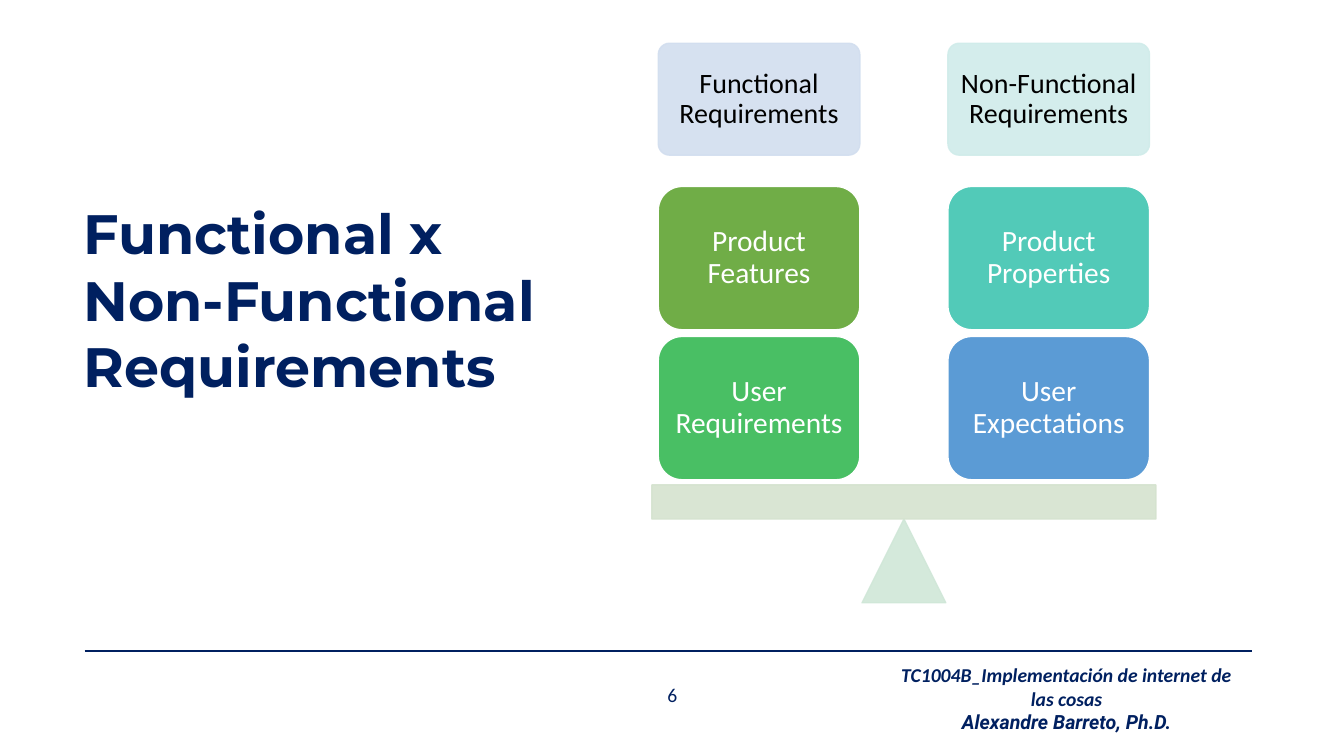
import pptx
import pptx.dml.color
import pptx.enum.shapes
import pptx.enum.text
import pptx.oxml
import pptx.oxml.ns
import pptx.util
from pptx.util import Cm, Pt

SHAPE = pptx.enum.shapes.MSO_SHAPE
ANCHOR = pptx.enum.text.MSO_ANCHOR
ALIGN = pptx.enum.text.PP_ALIGN
NAVY = "002060"
WHITE = "FFFFFF"
BLACK = "000000"


def colour(code):
    return pptx.dml.color.RGBColor.from_string(code)


def xml_element(tag, **attributes):
    element = pptx.oxml.parse_xml(f"<{tag} {pptx.oxml.ns.nsdecls('a')}/>")
    for name, value in attributes.items():
        element.set(name, value)
    return element


def style_paragraph(para, font_name, size, code, align=ALIGN.CENTER, bold=False, italic=False):
    para.alignment = align
    font = para.font
    font.name, font.size = font_name, Pt(size)
    font.bold, font.italic = bold, italic
    font.color.rgb = colour(code)


def add_part(slide, kind, box, fill, line, opacity=100):
    """Add a filled preset shape; opacity in percent applies to fill and line."""
    part = slide.shapes.add_shape(kind, *map(Cm, box))
    part.shadow.inherit = False
    part.fill.solid()
    part.fill.fore_color.rgb = colour(fill)
    part.line.color.rgb = colour(line)
    part.line.width = Pt(1)
    if opacity < 100:
        for code in part._element.spPr.iter(pptx.oxml.ns.qn("a:srgbClr")):
            code.append(xml_element("a:alpha", val=str(opacity * 1000)))
    return part


def label_part(part, text, size, code, inset):
    frame = part.text_frame
    frame.word_wrap = True
    frame.vertical_anchor = ANCHOR.MIDDLE
    frame.margin_left = frame.margin_right = Cm(inset)
    frame.margin_top = frame.margin_bottom = Cm(inset)
    para = frame.paragraphs[0]
    para.text = text
    para.line_spacing = 0.9
    style_paragraph(para, "Calibri", size, code)


def add_title(slide, box):
    title = slide.shapes.title
    title.left, title.top, title.width, title.height = map(Cm, box)
    frame = title.text_frame
    frame.text = "Functional x Non-Functional Requirements"
    frame.word_wrap = True
    frame.auto_size = pptx.enum.text.MSO_AUTO_SIZE.NONE
    frame.vertical_anchor = ANCHOR.MIDDLE
    style_paragraph(frame.paragraphs[0], "Montserrat", 39.6, NAVY, ALIGN.LEFT, bold=True)


def add_balance(slide, box):
    """Draw two stacks of blocks under their headings on a beam and pivot."""
    left, top, width, height = box
    card_width, head_height, block_height, block_step = 5.08, 2.82, 3.61, 3.78
    side_gap, blocks_top, beam_height, pivot_size = 0.16, 3.61, 0.86, 2.11
    stacks = [
        ("Functional Requirements", "D2DEEF",
         [("Product Features", "70AD47"), ("User Requirements", "49BF64")]),
        ("Non-Functional Requirements", "D0ECEA",
         [("Product Properties", "52CAB8"), ("User Expectations", "5B9BD5")]),
    ]
    pivot_top = top + height - pivot_size
    add_part(slide, SHAPE.ISOSCELES_TRIANGLE,
             (left + (width - pivot_size) / 2, pivot_top, pivot_size, pivot_size),
             "D0E7D8", "D0E7D8", 90)
    add_part(slide, SHAPE.RECTANGLE, (left, pivot_top - beam_height, width, beam_height),
             "D5E3CF", "D5E3CF", 90)

    column_step = width - 2 * side_gap - card_width
    for column, (heading, tint, blocks) in enumerate(stacks):
        card_left = left + side_gap + column * column_step
        head = add_part(slide, SHAPE.ROUNDED_RECTANGLE,
                        (card_left, top, card_width, head_height), tint, tint, 90)
        head.adjustments[0] = 0.1
        label_part(head, heading, 20, BLACK, 0.2)
        for row, (text, fill) in enumerate(blocks):
            block_top = top + blocks_top + row * block_step
            block = add_part(slide, SHAPE.ROUNDED_RECTANGLE,
                             (card_left, block_top, card_width, block_height), fill, WHITE)
            label_part(block, text, 21, WHITE, 0.23)


def add_footer(slide, box):
    left, top, width, height = box
    rule = slide.shapes.add_connector(pptx.enum.shapes.MSO_CONNECTOR.STRAIGHT,
                                      Cm(left), Cm(top), Cm(left + width), Cm(top))
    rule.line.color.rgb = colour(NAVY)
    rule.line.width = Pt(1.5)
    rule._element.spPr.append(xml_element("a:effectLst"))

    number = slide.shapes.add_textbox(Cm(left + 12.63), Cm(top + 0.84), Cm(4.37), Cm(0.51))
    number.text_frame.word_wrap = True
    number.text_frame.vertical_anchor = ANCHOR.MIDDLE
    number.text_frame.text = "6"
    style_paragraph(number.text_frame.paragraphs[0], "Calibri", 14, NAVY)

    credit_width, credit_drop = 9.32, 0.18
    credit = slide.shapes.add_textbox(Cm(left + width - credit_width), Cm(top + credit_drop),
                                      Cm(credit_width), Cm(height - credit_drop))
    frame = credit.text_frame
    frame.word_wrap = True
    frame.text = "TC1004B_Implementación de internet de las cosas\nAlexandre Barreto, Ph.D."
    for para, font_name in zip(frame.paragraphs, ("Calibri", "Roboto")):
        style_paragraph(para, font_name, 14, NAVY, bold=True, italic=True)


def main():
    deck = pptx.Presentation()
    deck.slide_width, deck.slide_height = Cm(33.87), Cm(19.05)
    slide = deck.slides.add_slide(deck.slide_layouts.get_by_name("Title Only"))
    slide.background.fill.solid()
    slide.background.fill.fore_color.rgb = colour(WHITE)
    add_title(slide, (1.85, 4.14, 13.08, 6.78))
    add_balance(slide, (16.43, 1.09, 12.7, 14.1))
    add_footer(slide, (2.13, 16.41, 29.41, 2.24))
    deck.save("out.pptx")


if __name__ == "__main__":
    main()
